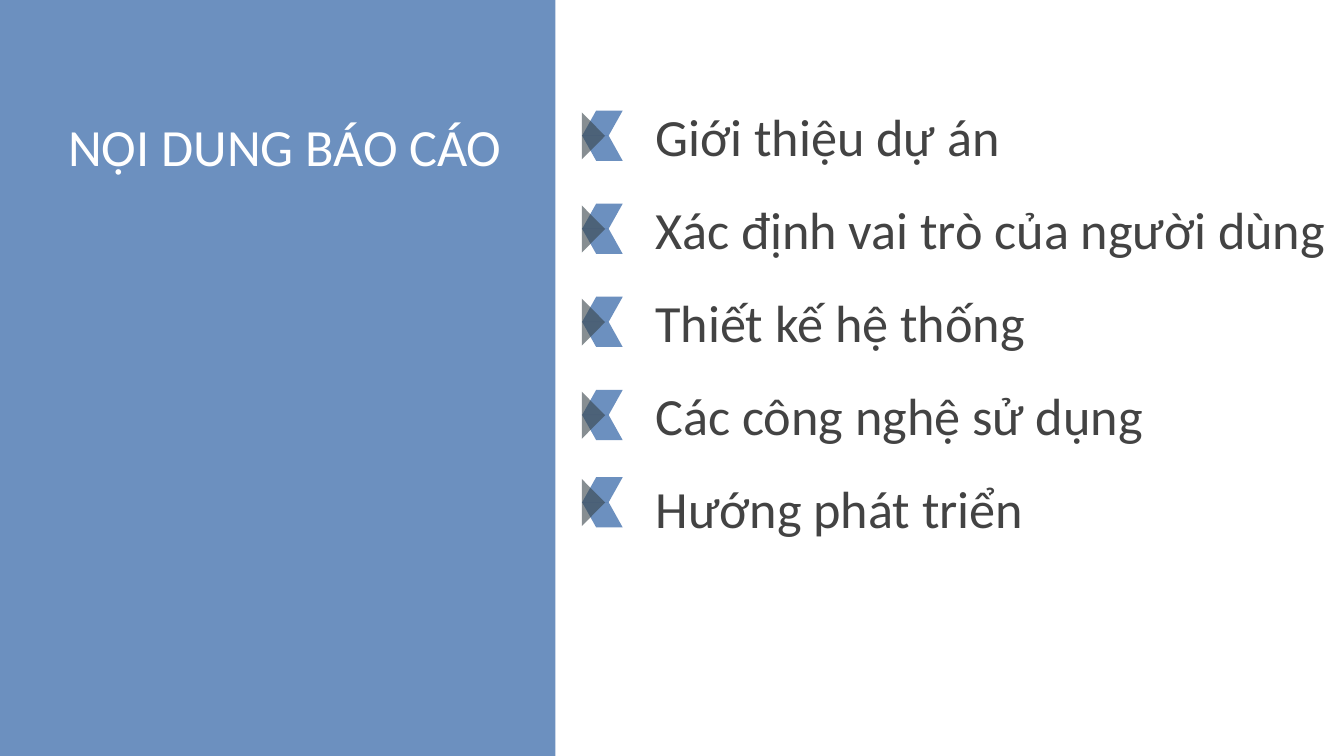
from lxml import etree
from pptx import Presentation
from pptx.dml.color import RGBColor
from pptx.enum.shapes import MSO_SHAPE
from pptx.enum.text import MSO_ANCHOR, MSO_AUTO_SIZE, PP_ALIGN
from pptx.oxml.ns import qn
from pptx.util import Cm, Pt

RECTANGLE = MSO_SHAPE.RECTANGLE
PARALLELOGRAM = MSO_SHAPE.PARALLELOGRAM
TRIANGLE = MSO_SHAPE.ISOSCELES_TRIANGLE
TOP, MIDDLE = MSO_ANCHOR.TOP, MSO_ANCHOR.MIDDLE

BLUE = RGBColor(0x5E, 0x85, 0xB9)
SLATE = RGBColor(0x38, 0x44, 0x4A)
WHITE = RGBColor(0xFF, 0xFF, 0xFF)
DARK_GRAY = RGBColor(0x43, 0x43, 0x43)

TITLE = "NỘI DUNG BÁO CÁO"
# Topic, text width and distance from text top to marker top, in cm
TOPICS = [
    ("Giới thiệu dự án", 9.78, 0.18),
    ("Xác định vai trò của người dùng", 13.49, 0.18),
    ("Thiết kế hệ thống", 10.59, 0.18),
    ("Các công nghệ sử dụng", 10.59, 0.18),
    ("Hướng phát triển", 9.78, 0.07),
]
FIRST_TOP, TOPIC_STEP = 1.91, 1.76


def add_tinted_shape(shapes, kind, place, color, opacity):
    """Add a borderless shape with a partly transparent fill."""
    shape = shapes.add_shape(kind, *(Cm(length) for length in place))
    shape.shadow.inherit = False
    shape.line.fill.background()
    shape.fill.solid()
    shape.fill.fore_color.rgb = color
    color_element = shape._element.spPr.find(".//" + qn("a:srgbClr"))
    alpha = etree.SubElement(color_element, qn("a:alpha"))
    alpha.set("val", str(opacity * 1000))
    return shape


def add_marker(page, top):
    """Add a notched arrow of two mirrored halves and a triangle."""
    shapes = page.shapes.add_group_shape().shapes
    for half in range(2):
        place = (11, top + 0.47 * half, 0.77, 0.48)
        wing = add_tinted_shape(shapes, PARALLELOGRAM, place, BLUE, 91)
        wing.adjustments[0] = 0.56
        if half:
            wing._element.spPr.xfrm.set("flipH", "1")
    place = (10.77, top + 0.26, 0.89, 0.44)
    triangle = add_tinted_shape(shapes, TRIANGLE, place, SLATE, 60)
    triangle.rotation = 90


def write_text(box, text, color, anchor):
    """Fill a text box or placeholder with one left-aligned line."""
    frame = box.text_frame
    frame.text = text
    frame_format = {
        "word_wrap": True,
        "auto_size": MSO_AUTO_SIZE.NONE,
        "vertical_anchor": anchor,
    }
    for side in ("left", "top", "right", "bottom"):
        frame_format["margin_" + side] = Cm(0.25)
    for name, value in frame_format.items():
        setattr(frame, name, value)
    para = frame.paragraphs[0]
    para.alignment = PP_ALIGN.LEFT
    span = para.runs[0]
    for name, value in {"name": "Calibri", "size": Pt(28)}.items():
        setattr(span.font, name, value)
    span.font.color.rgb = color


def add_title(page):
    title = page.shapes.title
    place = {"left": 1.04, "top": 1.91, "width": 9.96, "height": 4.9}
    for name, value in place.items():
        setattr(title, name, Cm(value))
    write_text(title, TITLE, WHITE, TOP)


def add_topic(page, text, top, width):
    box = page.shapes.add_textbox(Cm(12.14), Cm(top), Cm(width), Cm(1.3))
    write_text(box, text, DARK_GRAY, MIDDLE)


def main():
    deck = Presentation()
    deck.slide_width, deck.slide_height = Cm(25.4), Cm(14.29)
    page = deck.slides.add_slide(deck.slide_layouts[5])

    # Side panel, placed behind the title
    panel = add_tinted_shape(page.shapes, RECTANGLE, (0, 0, 10.5, 14.29), BLUE, 91)
    page.shapes.title._element.addprevious(panel._element)
    add_title(page)

    # Topics with their markers
    for index, (text, width, marker_offset) in enumerate(TOPICS):
        top = FIRST_TOP + TOPIC_STEP * index
        add_marker(page, top + marker_offset)
        add_topic(page, text, top, width)

    deck.save("out.pptx")


if __name__ == "__main__":
    main()
